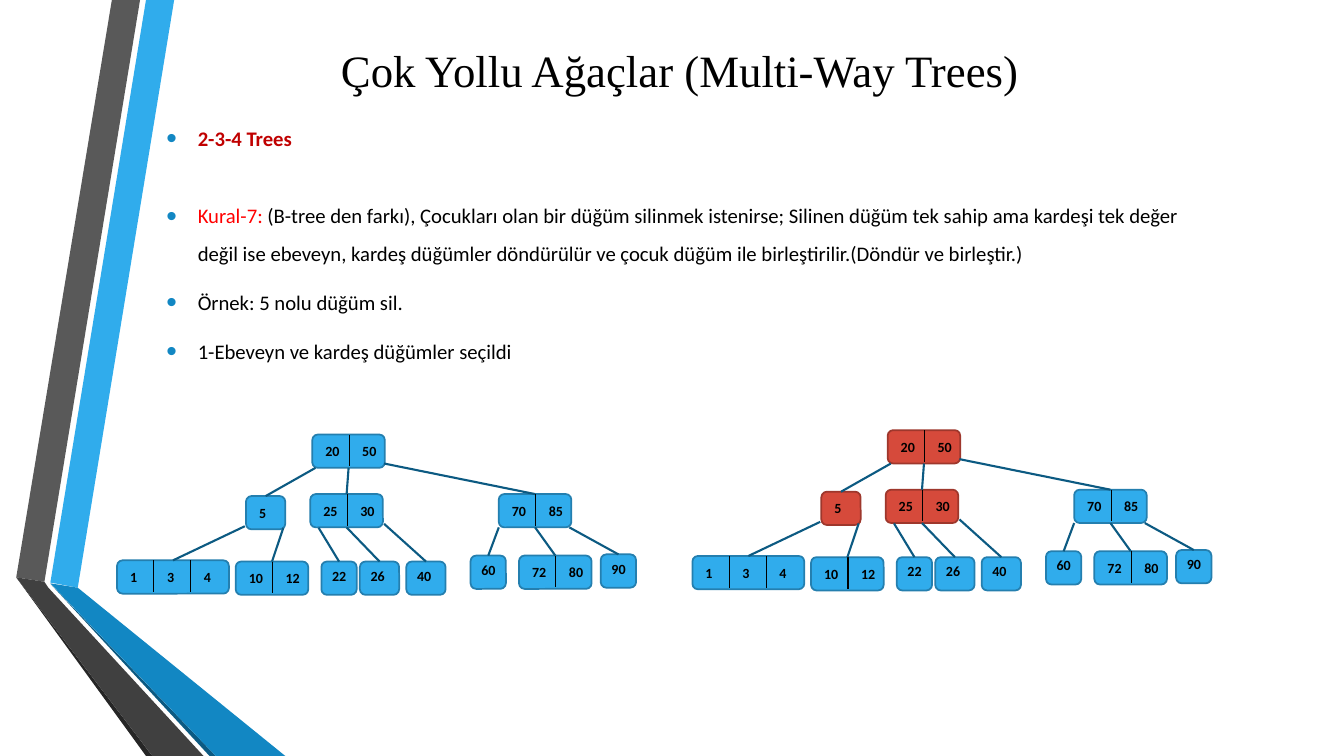
from pptx import Presentation
from pptx.dml.color import RGBColor
from pptx.enum.shapes import MSO_CONNECTOR as Link, MSO_SHAPE as Kind
from pptx.enum.text import MSO_ANCHOR as Anchor, MSO_AUTO_SIZE as Fit, PP_ALIGN as Align
from pptx.oxml.ns import qn
from pptx.util import Cm, Pt
from lxml.etree import SubElement


class Theme:
    black, dark, red = "000000", "C00000", "FF0000"
    blue, rim, edge, dot = "30ACEC", "247FAF", "0C5A82", "1287C3"
    rose, wine = "D64A3B", "9E372C"
    grey, coal, soot = "595959", "404040", "262626"
    head, body = "Times New Roman", "Calibri"
    big, mid, small = Pt(32), Pt(14.8), Pt(10)


def style(run, font, size, color, bold=False):
    run.font.name, run.font.size, run.font.bold = font, size, bold
    run.font.color.rgb = RGBColor.from_string(color)


def draw_line(group, start, end, color, width):
    line = group.shapes.add_connector(Link.STRAIGHT, *map(Cm, start + end))
    line.line.color.rgb = RGBColor.from_string(color)
    line.line.width = Pt(width)
    SubElement(line._element.spPr, qn("a:effectLst"))
    return line


deck = Presentation()
deck.slide_width, deck.slide_height = Cm(33.87), Cm(19.05)
slide = deck.slides.add_slide(deck.slide_layouts[1])
title, body = slide.placeholders

# Folded ribbons on the left
ribbons = [
    (Theme.blue, [(1.27, 14.68), (1.96, 14.81), (4.39, 0), (3.68, 0)]),
    (Theme.grey, [(3.53, 0), (2.82, 0), (0.41, 14.55), (1.12, 14.66)]),
    (Theme.soot, [(0.41, 14.55), (3.68, 19.05), (3.84, 19.05)]),
    (Theme.edge, [(1.27, 14.71), (5.28, 19.05), (5.44, 19.05)]),
    (Theme.dot, [(1.27, 14.7), (5.44, 19.05), (7.19, 19.05), (1.96, 14.81)]),
    (Theme.coal, [(0.41, 14.55), (3.84, 19.05), (5.13, 19.05), (1.22, 14.81),
                  (1.12, 14.66)]),
]
for color, points in ribbons:
    first, *rest = [(Cm(x), Cm(y)) for x, y in points]
    path = slide.shapes.build_freeform(*first)
    path.add_line_segments(rest)
    band = path.convert_to_shape()
    band.shadow.inherit = False
    band.fill.solid()
    band.fill.fore_color.rgb = RGBColor.from_string(color)
    band.line.fill.background()

# Title
title.left, title.top, title.width, title.height = Cm(3.94), Cm(0.43), Cm(26.39), Cm(2.64)
title.text_frame.text = "Çok Yollu Ağaçlar (Multi-Way Trees)"
title.text_frame.vertical_anchor = Anchor.MIDDLE
title.text_frame.auto_size = Fit.NONE
head = title.text_frame.paragraphs[0]
head.alignment = Align.CENTER
style(head.runs[0], Theme.head, Theme.big, Theme.black)

# Bullet list: space before, space after, runs of text, colour, bold
items = [
    (0, 0, [("2-3-4 Trees", Theme.dark, True)]),
    (29, 6, [("Kural-7:", Theme.red, False),
             (" (B-tree den farkı), Çocukları olan bir düğüm silinmek istenirse; "
              "Silinen düğüm tek sahip ama kardeşi tek değer değil ise ebeveyn, "
              "kardeş düğümler döndürülür ve çocuk düğüm ile birleştirilir."
              "(Döndür ve birleştir.)", Theme.black, False)]),
    (2.5, 6, [("Örnek: 5 nolu düğüm sil.", Theme.black, False)]),
    (2.5, 6, [("1-Ebeveyn ve kardeş düğümler seçildi", Theme.black, False)]),
]
body.left, body.top, body.width, body.height = Cm(3.94), Cm(2.72), Cm(26.39), Cm(7.24)
frame = body.text_frame
frame.auto_size = Fit.NONE
frame.vertical_anchor = Anchor.TOP
for i, (before, after, parts) in enumerate(items):
    para = frame.add_paragraph() if i else frame.paragraphs[0]
    para.alignment = Align.LEFT if i else Align.JUSTIFY
    para.line_spacing = 1.5
    para.space_before, para.space_after = Pt(before), Pt(after)
    for text, color, bold in parts:
        run = para.add_run()
        run.text = text
        style(run, Theme.body, Theme.mid, color, bold)
    props = para._p.get_or_add_pPr()
    props.set("marL", str(Cm(0.79)))
    props.set("indent", str(-Cm(0.79)))
    SubElement(SubElement(props, qn("a:buClr")), qn("a:srgbClr"), val=Theme.dot)
    SubElement(props, qn("a:buSzPct"), val="145000")
    SubElement(props, qn("a:buFont"), typeface="Arial")
    SubElement(props, qn("a:buChar"), char="•")

# Tree nodes: keys, left, top, width
nodes = [
    ("20 50", 7.87, 10.95, 1.83),
    ("5", 6.2, 12.5, 0.99),
    ("25 30", 7.82, 12.45, 1.83),
    ("70 85", 12.57, 12.45, 1.83),
    ("1 3 4", 2.95, 14.12, 2.82),
    ("10 12", 5.94, 14.15, 1.83),
    ("22", 8.1, 14.15, 0.89),
    ("26", 9.07, 14.15, 0.99),
    ("40", 10.24, 14.15, 0.99),
    ("60", 11.86, 14, 0.89),
    ("72 80", 13.08, 14, 1.83),
    ("90", 15.14, 13.97, 0.89),
]
# Tree edges: parent, child, start point (None = middle of the parent's bottom)
edges = [
    ("20 50", "5", (7.95, 11.79)),
    ("20 50", "25 30", None),
    ("20 50", "70 85", (9.68, 11.68)),
    ("5", "1 3 4", (6.17, 13.26)),
    ("5", "10 12", (7.14, 13.3)),
    ("25 30", "22", (8.03, 13.3)),
    ("25 30", "26", None),
    ("25 30", "40", (9.68, 13.2)),
    ("70 85", "60", (12.57, 13.29)),
    ("70 85", "72 80", None),
    ("70 85", "90", (14.35, 13.29)),
]
tall, step, leaf = 0.84, 0.93, 13.5

# Both trees: shift right, shift down, chosen nodes
for dx, dy, chosen in [(0, 0, ()), (14.5, -0.11, ("20 50", "5", "25 30"))]:
    group = slide.shapes.add_group_shape()
    boxes = {}
    for name, left, top, width in nodes:
        x, y, keys = left + dx, top + dy, name.split()
        fill, rim = (Theme.rose, Theme.wine) if name in chosen else (Theme.blue, Theme.rim)
        box = group.shapes.add_shape(Kind.ROUNDED_RECTANGLE, Cm(x), Cm(y), Cm(width), Cm(tall))
        box.shadow.inherit = False
        box.fill.solid()
        box.fill.fore_color.rgb = RGBColor.from_string(fill)
        box.line.color.rgb = RGBColor.from_string(rim)
        box.line.width = Pt(1.25)
        boxes[name] = box
        pad = 0.02 if len(keys) == 1 and top > leaf else 0.08
        for i, key in enumerate(keys):
            if i:
                cut = x + i * step
                draw_line(group, (cut, y), (cut, y + 0.8), Theme.black, 0.75)
            label = group.shapes.add_textbox(
                Cm(x + pad + i * step), Cm(y + pad), Cm(0.92), Cm(0.68))
            label.text_frame.word_wrap = True
            label.text_frame.text = key
            style(label.text_frame.paragraphs[0].runs[0],
                  Theme.body, Theme.small, Theme.black, True)
    for parent, child, start in edges:
        x, y = start or (0, 0)
        link = draw_line(group, (x + dx, y + dy), (x + dx, y + dy), Theme.edge, 1.5)
        if not start:
            link.begin_connect(boxes[parent], 2)
        link.end_connect(boxes[child], 0)

deck.save("out.pptx")
